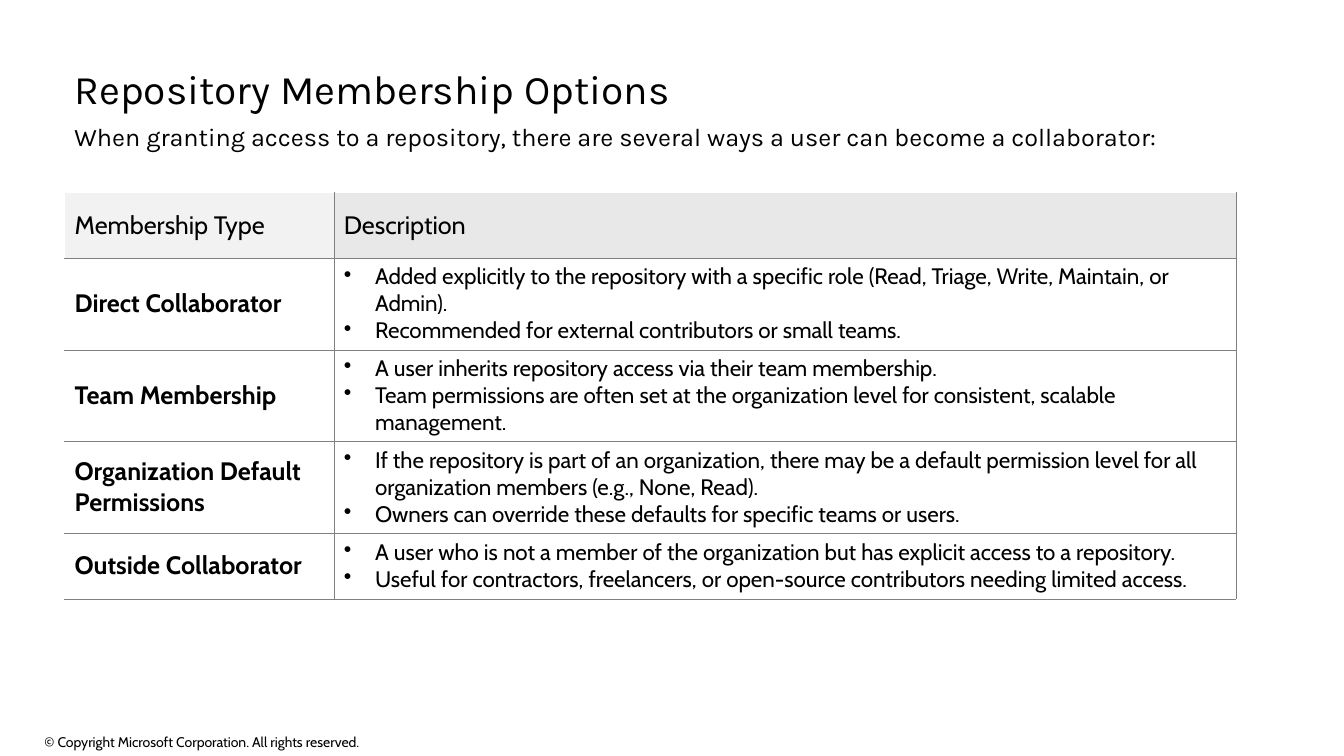
"""Build the slide on repository membership options."""
from dataclasses import dataclass

import pptx
import pptx.dml.color
import pptx.enum.text
import pptx.oxml
import pptx.oxml.ns
import pptx.slide
import pptx.table
import pptx.text.text
import pptx.util

Inches = pptx.util.Inches
Anchor = pptx.enum.text.MSO_ANCHOR
AutoSize = pptx.enum.text.MSO_AUTO_SIZE


@dataclass(frozen=True)
class Theme:
    heading_font: str = "Karla"
    body_font: str = "Cabin"
    ink: str = "000000"
    paper: str = "FFFFFF"
    type_header: str = "F2F2F2"
    description_header: str = "E8E8E8"
    rule: str = "808080"
    rule_width: float = 0.25
    title_size: int = 29
    label_size: int = 18
    bullet_size: int = 16
    footer_size: int = 10


@dataclass(frozen=True)
class Caption:
    text: str
    left: float
    top: float
    width: float
    height: float
    font: str
    size: int
    anchor: Anchor = Anchor.MIDDLE
    inset: tuple[float, float] = (0.1, 0.05)
    line_spacing: float = 1.0
    auto_size: AutoSize = AutoSize.NONE


@dataclass(frozen=True)
class Membership:
    name: str
    points: tuple[str, ...]
    height: float = 0.91


THEME = Theme()
INDENT = 0.31
HEADER_HEIGHT = 0.65
COLUMN_WIDTHS = (2.67, 8.95)

CAPTIONS = (
    Caption("Repository Membership Options", 0.64, 0.74, 11.27, 0.34,
            THEME.heading_font, THEME.title_size, line_spacing=0.9),
    Caption("© Copyright Microsoft Corporation. All rights reserved.", 0.44, 7.25, 4.54, 0.22,
            THEME.body_font, THEME.footer_size, inset=(0, 0)),
    Caption("When granting access to a repository, there are several ways a user can "
            "become a collaborator:", 0.64, 1.15, 11.38, 0.4,
            THEME.heading_font, THEME.label_size, anchor=Anchor.TOP,
            auto_size=AutoSize.SHAPE_TO_FIT_TEXT),
)

MEMBERSHIPS = (
    Membership("Direct Collaborator", (
        "Added explicitly to the repository with a specific role "
        "(Read, Triage, Write, Maintain, or Admin).",
        "Recommended for external contributors or small teams.")),
    Membership("Team Membership", (
        "A user inherits repository access via their team membership.",
        "Team permissions are often set at the organization level for consistent, "
        "scalable management.")),
    Membership("Organization Default Permissions", (
        "If the repository is part of an organization, there may be a default permission "
        "level for all organization members (e.g., None, Read).",
        "Owners can override these defaults for specific teams or users.")),
    Membership("Outside Collaborator", (
        "A user who is not a member of the organization but has explicit access to a repository.",
        "Useful for contractors, freelancers, or open-source contributors needing "
        "limited access."), height=0.65),
)


def rgb(value: str) -> pptx.dml.color.RGBColor:
    """Turn a hexadecimal colour into a colour object."""
    return pptx.dml.color.RGBColor.from_string(value)


def style_text(frame: pptx.text.text.TextFrame, font: str, size: int, bold: bool = False) -> None:
    """Format every run of a text frame."""
    for para in frame.paragraphs:
        for span in para.runs:
            span.font.name = font
            span.font.size = pptx.util.Pt(size)
            span.font.bold = bold
            span.font.color.rgb = rgb(THEME.ink)


def add_caption(page: pptx.slide.Slide, caption: Caption) -> None:
    """Add one text box."""
    box = page.shapes.add_textbox(Inches(caption.left), Inches(caption.top),
                                  Inches(caption.width), Inches(caption.height))
    frame = box.text_frame
    frame.word_wrap = True
    frame.auto_size = caption.auto_size
    frame.vertical_anchor = caption.anchor
    frame.margin_left = frame.margin_right = Inches(caption.inset[0])
    frame.margin_top = frame.margin_bottom = Inches(caption.inset[1])
    frame.text = caption.text
    frame.paragraphs[0].line_spacing = caption.line_spacing
    style_text(frame, caption.font, caption.size)


def add_bullet(para: pptx.text.text._Paragraph) -> None:
    """Give a paragraph a hanging bullet."""
    properties = para._p.get_or_add_pPr()
    properties.set("marL", str(Inches(INDENT)))
    properties.set("indent", str(-Inches(INDENT)))
    properties.append(pptx.oxml.parse_xml(
        f'<a:buChar {pptx.oxml.ns.nsdecls("a")} char="•"/>'))


def add_borders(cell: pptx.table._Cell, sides: str) -> None:
    """Draw thin rules on the given sides of a cell."""
    for side in sides:
        cell._tc.get_or_add_tcPr().append(pptx.oxml.parse_xml(
            f'<a:ln{side} {pptx.oxml.ns.nsdecls("a")} w="{pptx.util.Pt(THEME.rule_width)}">'
            f'<a:solidFill><a:srgbClr val="{THEME.rule}"/></a:solidFill></a:ln{side}>'))


def fill_cell(cell: pptx.table._Cell, text: str, fill: str, sides: str,
              size: int = THEME.label_size, bold: bool = False) -> None:
    """Write and format one table cell."""
    cell.text_frame.text = text
    cell.vertical_anchor = Anchor.MIDDLE
    add_borders(cell, sides)
    cell.fill.solid()
    cell.fill.fore_color.rgb = rgb(fill)
    style_text(cell.text_frame, THEME.body_font, size, bold)


def add_membership_table(page: pptx.slide.Slide) -> None:
    """Add the table of membership types."""
    heights = (HEADER_HEIGHT, *(membership.height for membership in MEMBERSHIPS))
    table = page.shapes.add_table(len(heights), len(COLUMN_WIDTHS), Inches(0.64), Inches(1.91),
                                  Inches(sum(COLUMN_WIDTHS)), Inches(sum(heights))).table
    table.first_row = table.horz_banding = False
    for column, width in zip(table.columns, COLUMN_WIDTHS):
        column.width = Inches(width)
    for row, height in zip(table.rows, heights):
        row.height = Inches(height)
    fill_cell(table.cell(0, 0), "Membership Type", THEME.type_header, "RB")
    fill_cell(table.cell(0, 1), "Description", THEME.description_header, "LRB")
    for index, membership in enumerate(MEMBERSHIPS, start=1):
        fill_cell(table.cell(index, 0), membership.name, THEME.paper, "RTB", bold=True)
        description = table.cell(index, 1)
        fill_cell(description, "\n".join(membership.points), THEME.paper, "LRTB",
                  THEME.bullet_size)
        for para in description.text_frame.paragraphs:
            add_bullet(para)


def main() -> None:
    """Build and save the deck."""
    deck = pptx.Presentation()
    deck.slide_width, deck.slide_height = Inches(13.33), Inches(7.5)
    page = deck.slides.add_slide(deck.slide_layouts[6])
    add_membership_table(page)
    for caption in CAPTIONS:
        add_caption(page, caption)
    deck.save("out.pptx")


if __name__ == "__main__":
    main()
